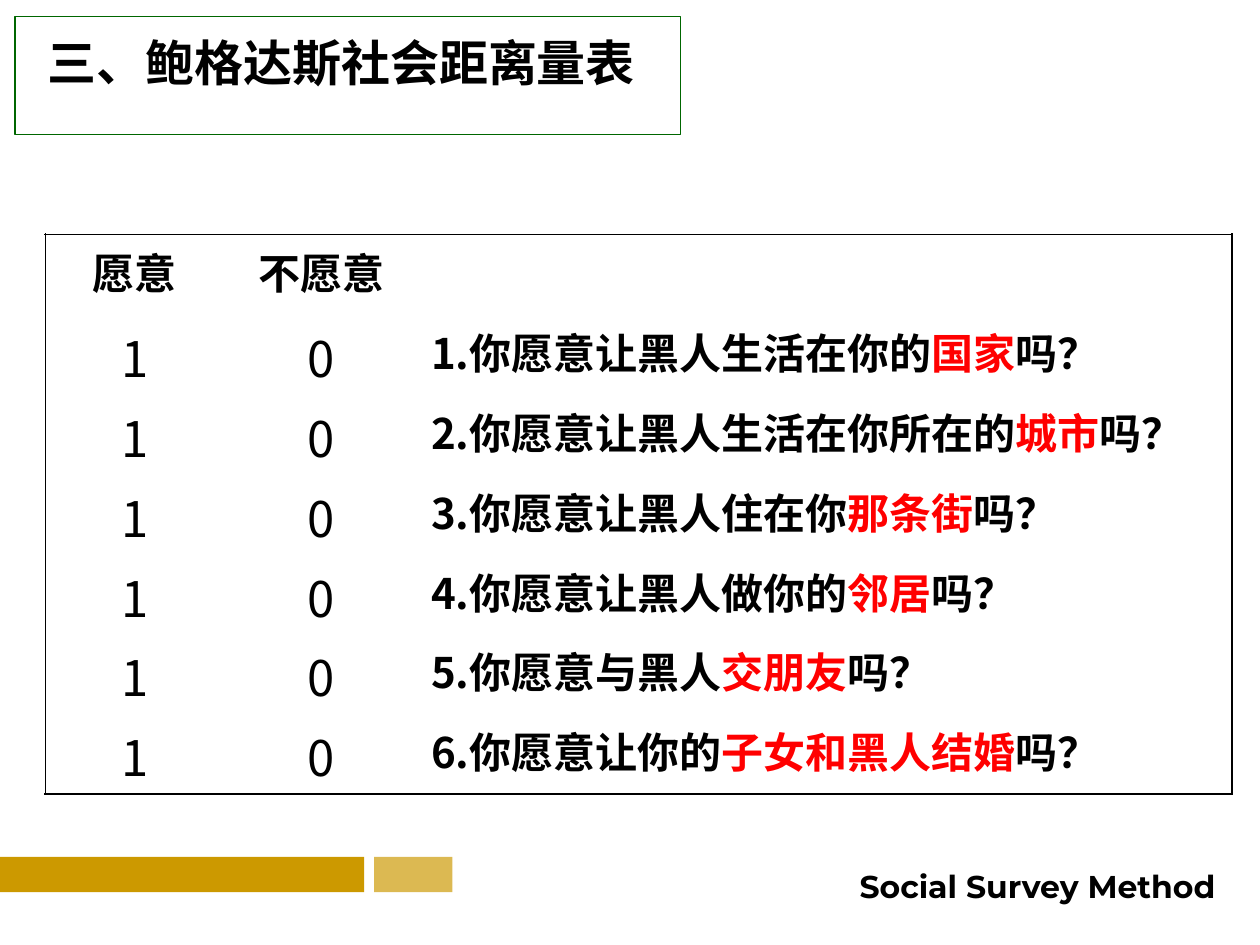
from lxml.etree import SubElement
from pptx import Presentation
from pptx.dml.color import RGBColor
from pptx.enum.shapes import MSO_SHAPE as Preset
from pptx.enum.text import PP_ALIGN as Align
from pptx.oxml.ns import qn
from pptx.util import Inches, Pt

COLUMNS, ROWS = 100, 75
CJK = "Noto Sans CJK SC"
BLACK, RED, GREEN, GOLD = "000000", "FF0000", "006600", "CC9900"

QUESTIONS = [
    ("你愿意让黑人生活在你的", "国家"),
    ("你愿意让黑人生活在你所在的", "城市"),
    ("你愿意让黑人住在你", "那条街"),
    ("你愿意让黑人做你的", "邻居"),
    ("你愿意与黑人", "交朋友"),
    ("你愿意让你的", "子女和黑人结婚"),
]


def rgb(value):
    return RGBColor.from_string(value)


def write(paragraph, text, size=24, font=CJK, color=BLACK, bold=True, align=None):
    if align is not None:
        paragraph.alignment = align
    run = paragraph.add_run()
    run.text = text
    run.font.size = Pt(size)
    run.font.bold = bold
    run.font.color.rgb = rgb(color)
    run.font.name = font
    SubElement(run.font._element, qn("a:ea"), typeface=CJK)


class SlideBuilder:
    def __init__(self, deck):
        self.deck = deck
        self.slide = deck.slides.add_slide(deck.slide_layouts[6])

    def place(self, left, top, width, height):
        column = self.deck.slide_width / COLUMNS
        row = self.deck.slide_height / ROWS
        return (round(left * column), round(top * row),
                round(width * column), round(height * row))

    def rectangle(self, *area, fill=None, opacity=None, line=None):
        rectangle = self.slide.shapes.add_shape(Preset.RECTANGLE, *self.place(*area))
        rectangle.shadow.inherit = False
        if fill:
            rectangle.fill.solid()
            rectangle.fill.fore_color.rgb = rgb(fill)
        else:
            rectangle.fill.background()
        if opacity:
            tint = rectangle._element.spPr.find(".//" + qn("a:srgbClr"))
            SubElement(tint, qn("a:alpha"), val=str(opacity * 1000))
        if line:
            rectangle.line.color.rgb = rgb(line)
            rectangle.line.width = Pt(0.75)
        else:
            rectangle.line.fill.background()

    def text(self, *area, content, wrap=True, **style):
        box = self.slide.shapes.add_textbox(*self.place(*area))
        box.text_frame.word_wrap = wrap
        write(box.text_frame.paragraphs[0], content, **style)

    def table(self, *area, widths, row_count):
        left, top, width, height = self.place(*area)
        table = self.slide.shapes.add_table(
            row_count, len(widths), left, top, width, height).table
        table.first_row = table.horz_banding = False
        for column, share in zip(table.columns, widths):
            column.width = round(width * share / sum(widths))
        for row in table.rows:
            row.height = round(height / row_count)
        last_row, last_column = row_count - 1, len(widths) - 1
        for r, row in enumerate(table.rows):
            for c, cell in enumerate(row.cells):
                cell.margin_bottom = Inches(0.02)
                self.border(cell, L=c == 0, R=c == last_column,
                            T=r == 0, B=r == last_row)
                cell.fill.background()
        return table

    def border(self, cell, **sides):
        properties = cell._tc.get_or_add_tcPr()
        for side, outer in sides.items():
            edge = SubElement(properties, qn(f"a:ln{side}"), w=str(Pt(1.08)))
            if outer:
                SubElement(SubElement(edge, qn("a:solidFill")), qn("a:srgbClr"), val=BLACK)
            else:
                SubElement(edge, qn("a:noFill"))


def fill_scale(scale):
    for column, heading in enumerate(("愿意", "不愿意")):
        write(scale.cell(0, column).text_frame.paragraphs[0], heading, align=Align.CENTER)
    for number, (opening, relation) in enumerate(QUESTIONS, 1):
        for column, score in enumerate("10"):
            write(scale.cell(number, column).text_frame.paragraphs[0], score,
                  size=28, bold=False, align=Align.CENTER)
        question = scale.cell(number, 2).text_frame.paragraphs[0]
        write(question, f"{number}.{opening}")
        write(question, relation, color=RED)
        write(question, "吗？")


def main():
    deck = Presentation()
    deck.slide_width, deck.slide_height = Inches(10), Inches(7.5)
    page = SlideBuilder(deck)
    page.rectangle(0, 68, 28.9, 2.8, fill=GOLD)
    page.rectangle(29.7, 68, 6.2, 2.8, fill=GOLD, opacity=68)
    page.text(65.7, 68.3, 33.3, 3.3, content="Social Survey Method", wrap=False,
              size=18, font="Montserrat", align=Align.CENTER)
    scale = page.table(3.6, 18.6, 94.2, 44.4, widths=(1.42, 1.54, 6.45),
                       row_count=len(QUESTIONS) + 1)
    fill_scale(scale)
    page.text(2.8, 2.1, 58.2, 5.7, content="三、鲍格达斯社会距离量表", size=28, font="Arial")
    page.rectangle(1.2, 1.3, 52.8, 9.4, line=GREEN)
    deck.save("out.pptx")


if __name__ == "__main__":
    main()
